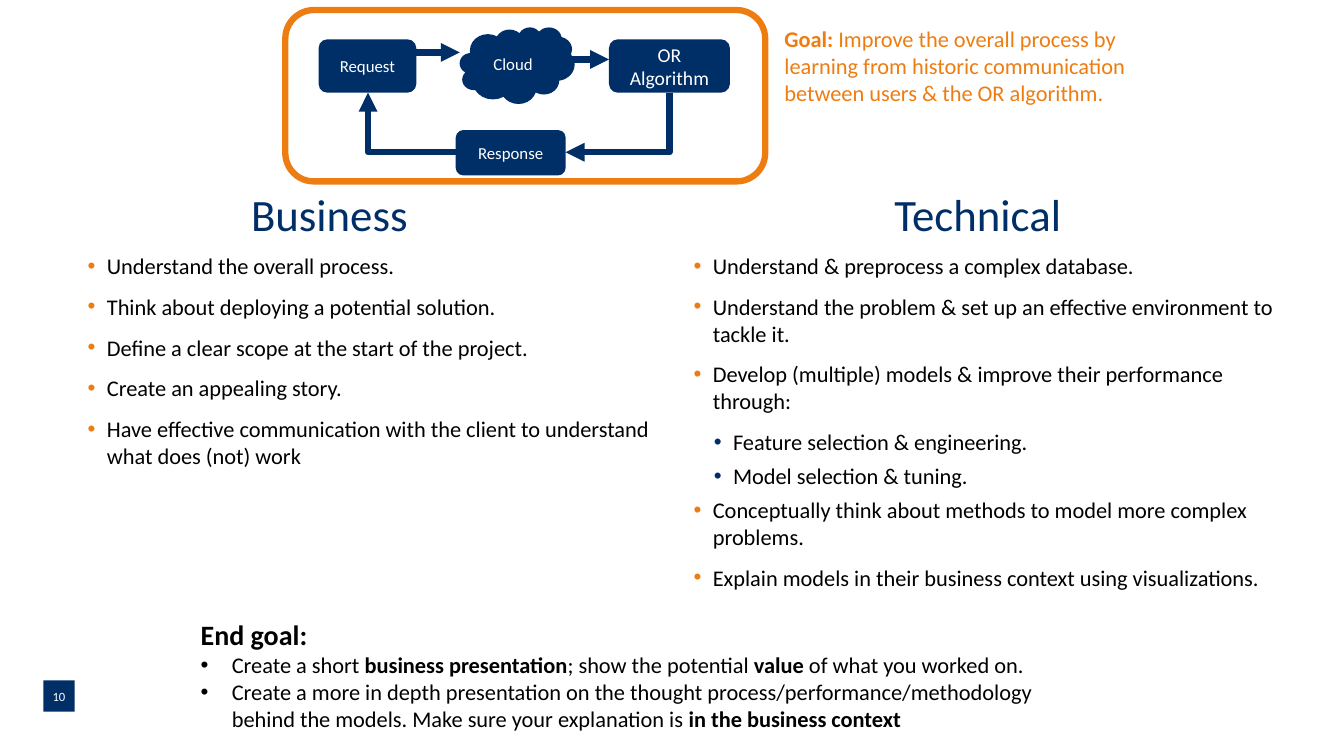
from lxml.etree import SubElement
from pptx import Presentation
from pptx.dml.color import RGBColor
from pptx.enum.shapes import MSO_CONNECTOR, MSO_SHAPE
from pptx.enum.text import MSO_ANCHOR, PP_ALIGN
from pptx.oxml.ns import qn
from pptx.util import Pt

PX = 9144  # 100 px to the inch
COLORS = {"navy": "002E67", "orange": "EE7D11", "black": "000000", "white": "FFFFFF"}
FONT = "Calibri"

BUSINESS = [
    (0, "Understand the overall process."),
    (0, "Think about deploying a potential solution."),
    (0, "Define a clear scope at the start of the project."),
    (0, "Create an appealing story."),
    (0, "Have effective communication with the client to understand what does (not) work"),
]
TECHNICAL = [
    (0, "Understand & preprocess a complex database."),
    (0, "Understand the problem & set up an effective environment to tackle it."),
    (0, "Develop (multiple) models & improve their performance through:"),
    (1, "Feature selection & engineering."),
    (1, "Model selection & tuning."),
    (0, "Conceptually think about methods to model more complex problems."),
    (0, "Explain models in their business context using visualizations."),
]
GOAL = ("*Goal:* Improve the overall process by learning from historic "
        "communication between users & the OR algorithm.")
OUTCOMES = [
    "Create a short* business presentation*; show the potential *value* of what you worked on.",
    "Create a more in depth presentation on the thought process/performance/methodology "
    "behind the models. Make sure your explanation is *in the business context*",
]


def px(*values):
    return [round(value * PX) for value in values]


def rgb(name):
    return RGBColor.from_string(COLORS[name])


def assign(target, values):
    for name, value in values.items():
        setattr(target, name, value)


def bullet(para, left, hang, color):
    props = para._p.get_or_add_pPr()
    props.set("marL", str(left * PX))
    props.set("indent", str(-hang * PX))
    tint = SubElement(props, qn("a:buClr"))
    SubElement(tint, qn("a:srgbClr"), val=COLORS[color])
    SubElement(props, qn("a:buFont"), typeface="Arial")
    SubElement(props, qn("a:buChar"), char="•")


def write(para, text, size, color, **format):
    """Fill a paragraph; words between asterisks are bold."""
    assign(para, format)
    for index, part in enumerate(text.split("*")):
        if part:
            run = para.add_run()
            run.text = part
            assign(run.font, {"name": FONT, "size": Pt(size), "bold": index % 2 == 1})
            run.font.color.rgb = rgb(color)


def setup(frame, inset=0, anchor=MSO_ANCHOR.TOP):
    assign(frame, {"word_wrap": True, "vertical_anchor": anchor})
    assign(frame, {f"margin_{side}": inset * PX for side in ("left", "top", "right", "bottom")})
    return frame


def add_text(slide, box, **format):
    return setup(slide.shapes.add_textbox(*px(*box)).text_frame, **format)


def add_block(slide, kind, box, text, size, inset=16):
    shape = slide.shapes.add_shape(kind, *px(*box))
    shape.shadow.inherit = False
    shape.fill.solid()
    shape.fill.fore_color.rgb = rgb("navy")
    shape.line.fill.background()
    frame = setup(shape.text_frame, inset, MSO_ANCHOR.MIDDLE)
    write(frame.paragraphs[0], text, size, "white", alignment=PP_ALIGN.CENTER)


def add_arrow(slide, start, end, turn=None):
    """Draw a straight arrow, or one with a single bend rotated by turn degrees."""
    (x1, y1), (x2, y2) = start, end
    if turn is not None:
        wide, high = abs(x2 - x1), abs(y2 - y1)
        if turn % 180:
            wide, high = high, wide
        midx, midy = (x1 + x2) / 2, (y1 + y2) / 2
        x1, x2 = midx - wide / 2, midx + wide / 2
        y1, y2 = midy - high / 2, midy + high / 2
    kind = MSO_CONNECTOR.STRAIGHT if turn is None else MSO_CONNECTOR.ELBOW
    arrow = slide.shapes.add_connector(kind, *px(x1, y1, x2, y2))
    arrow.line.color.rgb = rgb("navy")
    arrow.line.width = Pt(4.5)
    props = arrow._element.spPr
    if turn is not None:
        props.find(qn("a:xfrm")).set("rot", str(turn * 60000))
        props.find(qn("a:prstGeom")).set("prst", "bentConnector2")
    SubElement(props.find(qn("a:ln")), qn("a:tailEnd"), type="triangle")
    SubElement(props, qn("a:effectLst"))


def add_flow(slide, box):
    left, top, wide, high = box
    round_box = MSO_SHAPE.ROUNDED_RECTANGLE

    def at(x, y):
        return left + x, top + y

    add_block(slide, round_box, (*at(33, 29), 97, 53), "Request", 12)
    add_block(slide, round_box, (*at(321, 29), 120, 53), "OR Algorithm", 14)
    add_block(slide, MSO_SHAPE.CLOUD, (*at(173, 17), 114, 76), "Cloud", 12)
    add_arrow(slide, at(130, 42), at(173, 42))
    add_arrow(slide, at(278, 49), at(321, 49))
    add_arrow(slide, at(381, 82), at(278, 141), 90)

    frame = slide.shapes.add_shape(round_box, *px(*box))
    frame.shadow.inherit = False
    frame.fill.background()
    frame.line.color.rgb = rgb("orange")
    frame.line.width = Pt(4.5)

    add_block(slide, round_box, (*at(169, 119), 109, 45), "Response", 12)
    add_arrow(slide, at(169, 141), at(82, 82), 180)


def add_column(slide, box, shift, title, items):
    left, top, wide, high = box
    head = add_text(slide, (left + shift, top, 212, 46), anchor=MSO_ANCHOR.MIDDLE)
    write(head.paragraphs[0], title, 32, "navy", line_spacing=0.9)
    body = add_text(slide, (left, top + 58, wide, high - 58))
    for index, (level, text) in enumerate(items):
        para = body.add_paragraph() if index else body.paragraphs[0]
        bullet(para, 39 if level else 19, 19, "navy" if level else "orange")
        write(para, text, 16, "black", level=level,
              space_before=Pt(5 if index else 0), space_after=Pt(0 if level else 5))


def add_goal(slide, box):
    write(add_text(slide, box).paragraphs[0], GOAL, 16, "orange")


def add_ending(slide, box):
    frame = add_text(slide, box)
    write(frame.paragraphs[0], "*End goal:*", 20, "black")
    for text in OUTCOMES:
        para = frame.add_paragraph()
        bullet(para, 31, 31, "black")
        write(para, text, 16, "black")


def main():
    deck = Presentation()
    assign(deck, {"slide_width": 1333 * PX, "slide_height": 750 * PX})
    slide = deck.slides.add_slide(deck.slide_layouts[6])
    add_column(slide, (87, 192, 558, 437), 162, "Business", BUSINESS)
    add_column(slide, (688, 192, 575, 437), 199, "Technical", TECHNICAL)
    add_flow(slide, (283, 10, 476, 170))
    add_goal(slide, (778, 25, 374, 96))
    add_ending(slide, (199, 613, 860, 113))
    add_block(slide, MSO_SHAPE.RECTANGLE, (43, 675, 31, 31), "10", 9, inset=0)
    deck.save("out.pptx")


if __name__ == "__main__":
    main()
